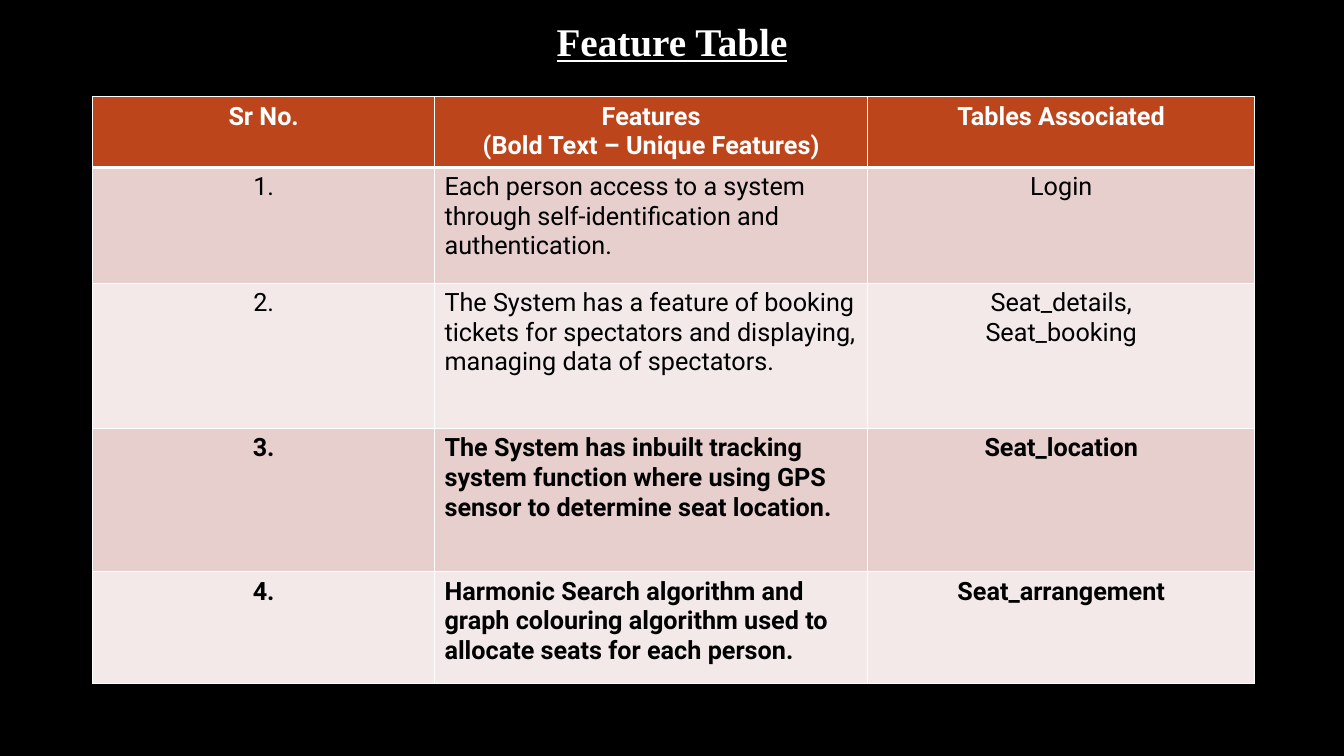
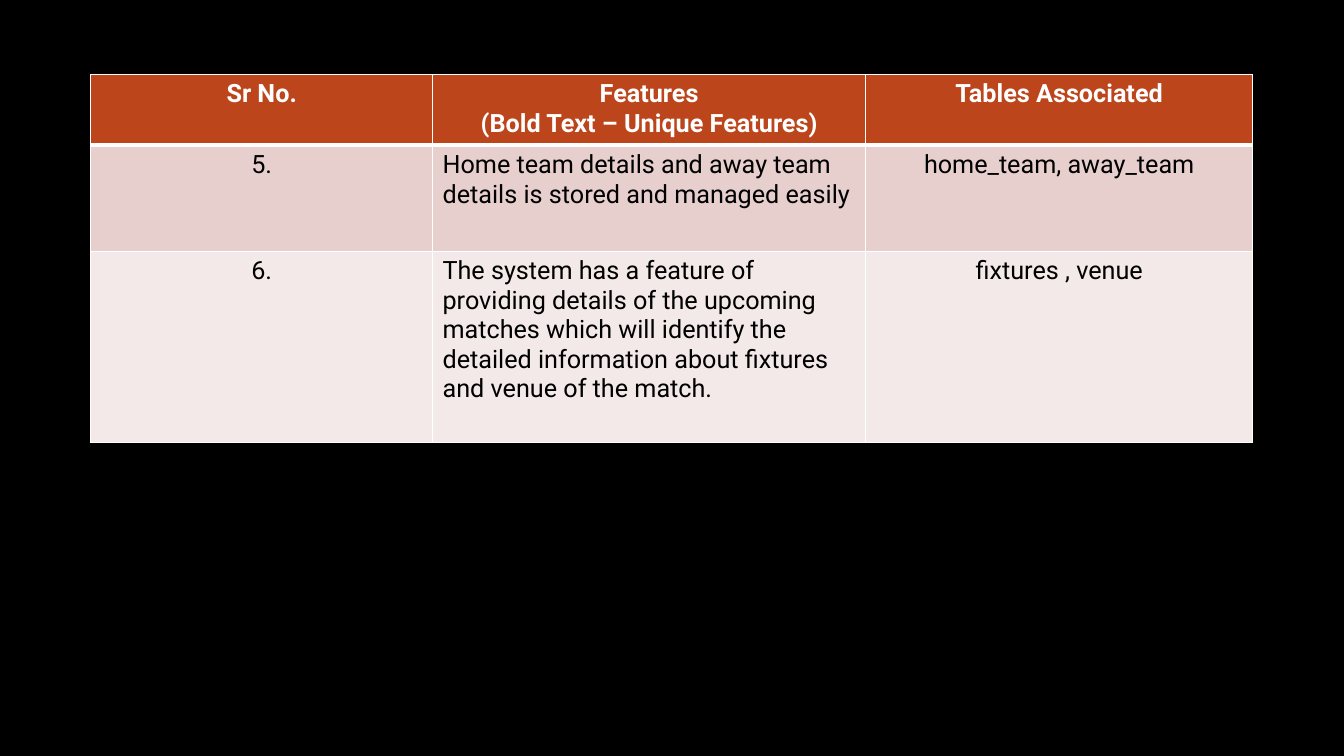
from lxml.etree import SubElement
from pptx import Presentation
from pptx.dml.color import RGBColor
from pptx.enum.text import MSO_ANCHOR as Anchor, PP_ALIGN as Align
from pptx.oxml.ns import qn
from pptx.util import Cm, Pt

# Shared colours and fonts
BLACK = RGBColor(0x00, 0x00, 0x00)
WHITE = RGBColor(0xFF, 0xFF, 0xFF)
HEADER_FILL = RGBColor(0xBC, 0x45, 0x1B)
BAND_FILLS = (RGBColor(0xE7, 0xCF, 0xCD), RGBColor(0xF3, 0xE9, 0xE8))
TITLE_FONT = "Times New Roman"
TABLE_FONT = "Roboto"

# Shared table layout, in centimetres
SLIDE_WIDTH, SLIDE_HEIGHT = 33.87, 19.05
COLUMN_WIDTHS = (8.61, 10.92, 9.75)
HEADER_HEIGHT = 1.78
COLUMN_ALIGNS = (Align.CENTER, Align.LEFT, Align.CENTER)
HEADER = ("Sr No.", "Features\n(Bold Text – Unique Features)", "Tables Associated")
THIN, THICK = 1, 3

# Each feature: row height, bold, cell texts
FIRST_FEATURES = (
    (2.92, False, ("1.", "Each person access to a system through "
                   "self-identification and authentication.", "Login")),
    (3.66, False, ("2.", "The System has a feature of booking tickets for spectators "
                   "and displaying, managing data of spectators.",
                   "Seat_details,\nSeat_booking")),
    (3.61, True, ("3.", "The System has inbuilt tracking system function where using "
                  "GPS sensor to determine seat location.", "Seat_location")),
    (2.82, True, ("4.", "Harmonic Search algorithm and graph colouring algorithm used "
                  "to allocate seats for each person.", "Seat_arrangement")),
)
MORE_FEATURES = (
    (2.67, False, ("5.", "Home team details and away team details is stored and "
                   "managed easily", "home_team, away_team")),
    (4.83, False, ("6.", "The system has a feature of providing details of the upcoming "
                   "matches which will identify the detailed information about "
                   "fixtures and venue of the match.", "fixtures , venue")),
)


def style_font(font, name, size, color, bold):
    font.name, font.size, font.bold = name, Pt(size), bold
    font.color.rgb = color


def set_borders(cell, top, bottom):
    """Draw white cell borders; call before the fill, which must follow them."""
    properties = cell._tc.get_or_add_tcPr()
    for side, points in (("L", THIN), ("R", THIN), ("T", top), ("B", bottom)):
        line = SubElement(properties, qn(f"a:ln{side}"), w=str(Pt(points)))
        fill = SubElement(line, qn("a:solidFill"))
        SubElement(fill, qn("a:srgbClr"), val=str(WHITE))


def fill_cell(cell, text, align, fill, color, bold):
    cell.fill.solid()
    cell.fill.fore_color.rgb = fill
    cell.text_frame.text = text
    for para in cell.text_frame.paragraphs:
        para.alignment = align
        for span in para.runs:
            style_font(span.font, TABLE_FONT, 18, color, bold)


def add_title(page, text):
    title = page.shapes.title
    width = 6.4
    title.left, title.top = Cm((SLIDE_WIDTH - width) / 2), Cm(0.3)
    title.width, title.height = Cm(width), Cm(1.45)
    frame = title.text_frame
    frame.text = text
    frame.word_wrap = False
    frame.vertical_anchor = Anchor.MIDDLE
    para = frame.paragraphs[0]
    para.alignment = Align.CENTER
    font = para.runs[0].font
    style_font(font, TITLE_FONT, 28, WHITE, True)
    font.underline = True


def add_feature_table(page, left, top, features):
    rows = ((HEADER_HEIGHT, True, HEADER),) + features
    height = sum(row[0] for row in rows)
    table = page.shapes.add_table(
        len(rows), len(COLUMN_WIDTHS), Cm(left), Cm(top),
        Cm(sum(COLUMN_WIDTHS)), Cm(height)).table
    for column, width in zip(table.columns, COLUMN_WIDTHS):
        column.width = Cm(width)

    for index, (row_height, bold, texts) in enumerate(rows):
        table.rows[index].height = Cm(row_height)
        is_header = index == 0
        fill = HEADER_FILL if is_header else BAND_FILLS[(index - 1) % 2]
        color = WHITE if is_header else BLACK
        for cell, text, align in zip(table.rows[index].cells, texts, COLUMN_ALIGNS):
            # A thick rule separates the header from the first feature
            set_borders(cell, THICK if index == 1 else THIN,
                        THICK if is_header else THIN)
            fill_cell(cell, text, Align.CENTER if is_header else align,
                      fill, color, bold)


def main():
    deck = Presentation()
    deck.slide_width, deck.slide_height = Cm(SLIDE_WIDTH), Cm(SLIDE_HEIGHT)
    background = deck.slide_master.background.fill
    background.solid()
    background.fore_color.rgb = BLACK
    title_only, blank = deck.slide_layouts[5], deck.slide_layouts[6]

    # Slide 1: title and first features
    page = deck.slides.add_slide(title_only)
    add_title(page, "Feature Table")
    add_feature_table(page, 2.34, 2.44, FIRST_FEATURES)

    # Slide 2: remaining features
    page = deck.slides.add_slide(blank)
    add_feature_table(page, 2.29, 1.88, MORE_FEATURES)

    deck.save("out.pptx")


if __name__ == "__main__":
    main()
